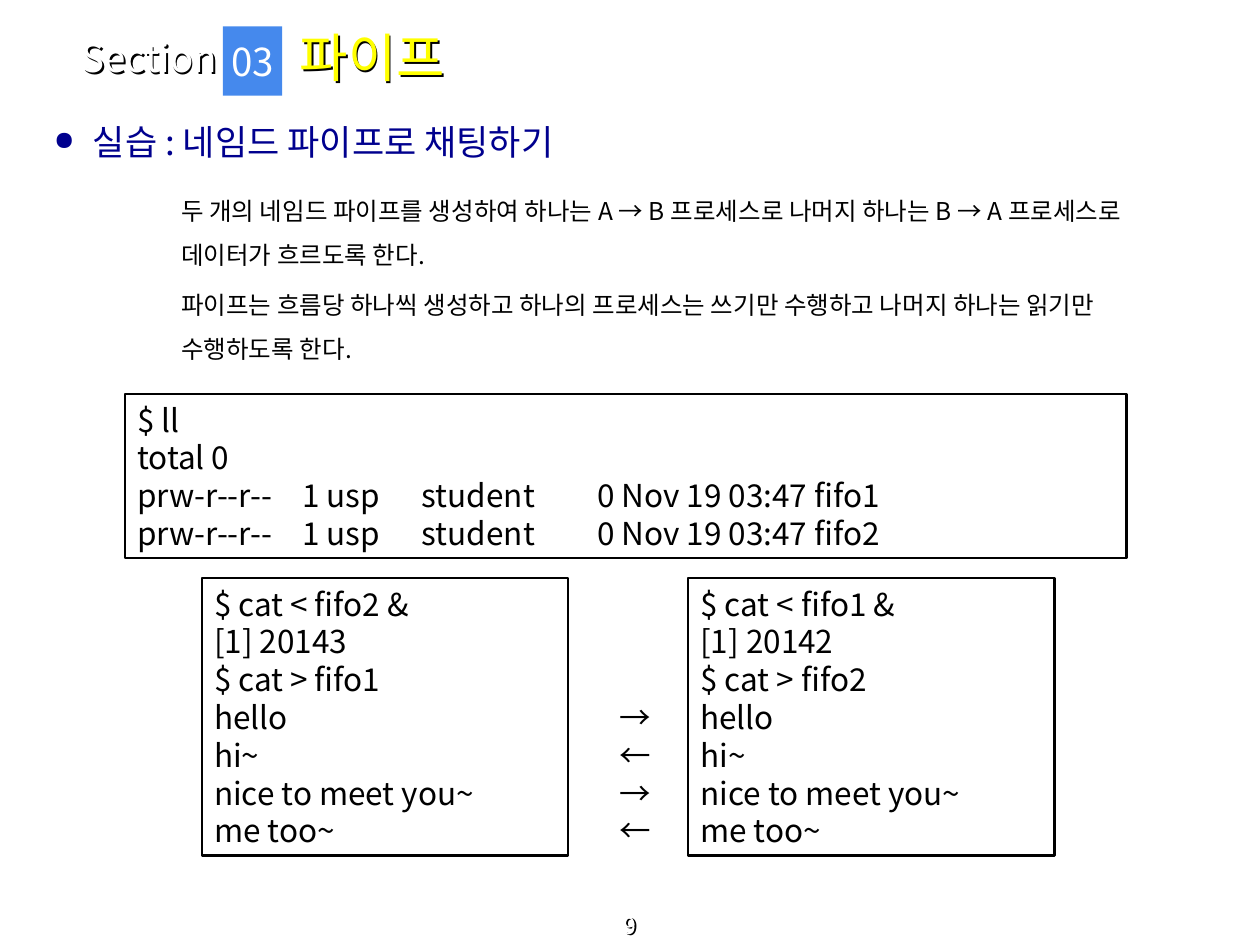
"""Build the named pipe chat exercise slide."""
from dataclasses import dataclass

import lxml.etree
import pptx
import pptx.dml.color
import pptx.enum.shapes
import pptx.enum.text
import pptx.oxml.ns
import pptx.util
from pptx.util import Inches

ANCHOR = pptx.enum.text.MSO_ANCHOR
ALIGN = pptx.enum.text.PP_ALIGN
qn = pptx.oxml.ns.qn


@dataclass(frozen=True)
class Theme:
    """Colours, sizes and spacing shared by the slide."""
    font: str = "Noto Sans CJK KR"
    black: str = "000000"
    white: str = "FFFFFF"
    navy: str = "00008E"
    yellow: str = "FFFF00"
    blue: str = "4589ED"
    number_size: float = 13
    body_size: float = 14
    code_size: float = 18
    heading_size: float = 20
    section_size: float = 22
    title_size: float = 30
    border: float = 1.25
    leading: float = 1.2
    body_leading: float = 1.8


THEME = Theme()


@dataclass(frozen=True)
class Box:
    """Position and size in inches."""
    left: float
    top: float
    width: float
    height: float


@dataclass(frozen=True)
class Style:
    """Look of a block of text."""
    size: float
    color: str = THEME.black
    align: ALIGN = ALIGN.LEFT
    anchor: ANCHOR = ANCHOR.MIDDLE
    leading: float = THEME.leading
    gap: float = 0
    wrap: bool = True
    shadow: bool = False
    bullet: str = ""
    tabs: tuple[float, ...] = ()


@dataclass(frozen=True)
class Terminal:
    """A bordered box of terminal lines."""
    box: Box
    lines: tuple[str, ...]
    tabs: tuple[float, ...] = ()


def rgb(color: str) -> pptx.dml.color.RGBColor:
    """Turn a hex string into a colour."""
    return pptx.dml.color.RGBColor.from_string(color)


def place(shape, box: Box) -> None:
    """Move and size a shape."""
    shape.left, shape.top = Inches(box.left), Inches(box.top)
    shape.width, shape.height = Inches(box.width), Inches(box.height)


def add_text_shadow(shape) -> None:
    """Give the letters of an unfilled shape a dark shadow."""
    shape.fill.background()
    shape.shadow.inherit = False
    effects = shape._element.spPr.find(qn("a:effectLst"))
    shadow = lxml.etree.SubElement(effects, qn("a:outerShdw"), dist="17961", dir="2700000")
    lxml.etree.SubElement(shadow, qn("a:srgbClr"), val=THEME.black)


def format_paragraph(paragraph, style: Style) -> None:
    """Set spacing, bullet and tab stops of a paragraph."""
    properties = paragraph._p.get_or_add_pPr()
    if style.bullet:
        indent = Inches(0.31)
        properties.set("marL", str(indent))
        properties.set("indent", str(-indent))
        lxml.etree.SubElement(properties, qn("a:buSzPct"), val="75000")
        lxml.etree.SubElement(properties, qn("a:buChar"), char=style.bullet)
    if style.tabs:
        tab_list = lxml.etree.SubElement(properties, qn("a:tabLst"))
        for position in style.tabs:
            lxml.etree.SubElement(tab_list, qn("a:tab"), pos=str(Inches(position)), algn="l")
    paragraph.alignment = style.align
    paragraph.line_spacing = pptx.util.Pt(style.size * style.leading)


def write(shape, lines: tuple[str, ...], style: Style) -> None:
    """Fill a shape with one paragraph a line."""
    if style.shadow:
        add_text_shadow(shape)
    frame = shape.text_frame
    frame.auto_size = pptx.enum.text.MSO_AUTO_SIZE.NONE
    frame.word_wrap = style.wrap
    frame.vertical_anchor = style.anchor
    for index, line in enumerate(lines):
        paragraph = frame.add_paragraph() if index else frame.paragraphs[0]
        format_paragraph(paragraph, style)
        if index:
            paragraph.space_before = pptx.util.Pt(style.gap)
        run = paragraph.add_run()
        run.text = line
        run.font.size = pptx.util.Pt(style.size)
        run.font.color.rgb = rgb(style.color)
        run.font.name = THEME.font
        properties = run.font._element
        properties.set("kern", "0")
        east_asian = lxml.etree.Element(qn("a:ea"), typeface=THEME.font)
        properties.find(qn("a:latin")).addnext(east_asian)


def add_text(slide, box: Box, lines: tuple[str, ...], style: Style) -> None:
    """Add a text box."""
    shape = slide.shapes.add_textbox(0, 0, 0, 0)
    place(shape, box)
    write(shape, lines, style)


def add_rectangle(slide, box: Box):
    """Add a bare rectangle."""
    shape = slide.shapes.add_shape(pptx.enum.shapes.MSO_SHAPE.RECTANGLE, 0, 0, 0, 0)
    place(shape, box)
    shape.shadow.inherit = False
    return shape


def add_terminal(slide, terminal: Terminal) -> None:
    """Add a bordered terminal box."""
    shape = add_rectangle(slide, terminal.box)
    shape.fill.background()
    shape.line.color.rgb = rgb(THEME.black)
    shape.line.width = pptx.util.Pt(THEME.border)
    write(shape, terminal.lines, Style(THEME.code_size, tabs=terminal.tabs))


def add_section_number(slide, box: Box, number: str) -> None:
    """Add the filled section number."""
    shape = add_rectangle(slide, box)
    shape.fill.solid()
    shape.fill.fore_color.rgb = rgb(THEME.blue)
    shape.line.fill.background()
    write(shape, (number,), Style(THEME.section_size, THEME.white, ALIGN.CENTER, wrap=False))


def main() -> None:
    """Build and save the slide."""
    presentation = pptx.Presentation()
    presentation.slide_width, presentation.slide_height = Inches(10), Inches(7.5)
    slide = presentation.slides.add_slide(presentation.slide_layouts[5])

    title = slide.shapes.title
    place(title, Box(2.28, 0.11, 6.49, 0.68))
    write(title, ("파이프",), Style(THEME.title_size, THEME.yellow, shadow=True))
    add_text(slide, Box(0.55, 0.27, 1.93, 0.37), ("Section",),
             Style(THEME.section_size, THEME.white, shadow=True))
    add_section_number(slide, Box(1.77, 0.21, 0.47, 0.55), "03")
    add_text(slide, Box(0.33, 0.89, 9.33, 0.47), ("실습 : 네임드 파이프로 채팅하기",),
             Style(THEME.heading_size, THEME.navy, bullet="●"))
    add_text(slide, Box(1.34, 1.39, 8.31, 1.65), (
        "두 개의 네임드 파이프를 생성하여 하나는 A → B 프로세스로 나머지 하나는 B → A 프로세스로 데이터가 흐르도록 한다.",
        "파이프는 흐름당 하나씩 생성하고 하나의 프로세스는 쓰기만 수행하고 나머지 하나는 읽기만 수행하도록 한다.",
    ), Style(THEME.body_size, anchor=ANCHOR.TOP, leading=THEME.body_leading, gap=3.5))

    listing = tuple(f"prw-r--r--\t1 usp\tstudent\t0 Nov 19 03:47 fifo{number}" for number in (1, 2))
    add_terminal(slide, Terminal(Box(0.99, 3.13, 7.95, 1.3), ("$ ll", "total 0", *listing),
                                 (1.31, 2.26, 3.65)))
    chat = ("hello", "hi~", "nice to meet you~", "me too~")
    for left, source, job, target in ((1.6, 2, 20143, 1), (5.46, 1, 20142, 2)):
        commands = (f"$ cat < fifo{source} &", f"[1] {job}", f"$ cat > fifo{target}")
        add_terminal(slide, Terminal(Box(left, 4.59, 2.91, 2.2), commands + chat))
    add_text(slide, Box(4.87, 5.49, 0.35, 1.3), ("→", "←") * 2,
             Style(THEME.code_size, align=ALIGN.CENTER, wrap=False))
    add_text(slide, Box(0, 7.28, 10, 0.22), ("9",),
             Style(THEME.number_size, THEME.white, ALIGN.CENTER, ANCHOR.BOTTOM, shadow=True))
    presentation.save("out.pptx")


if __name__ == "__main__":
    main()
